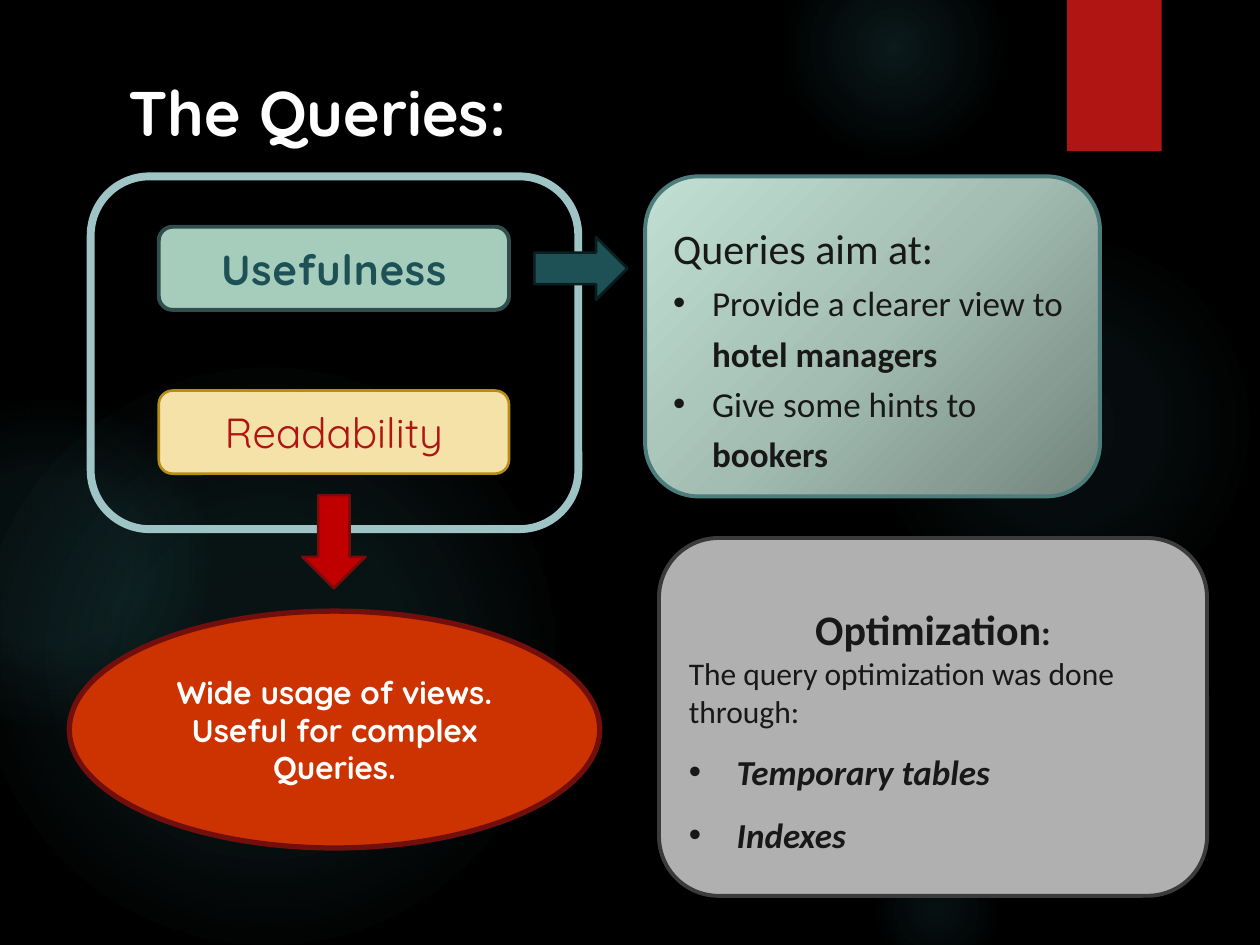
from lxml.etree import SubElement
from pptx import Presentation
from pptx.dml.color import RGBColor
from pptx.enum.shapes import MSO_SHAPE
from pptx.enum.text import MSO_ANCHOR, MSO_AUTO_SIZE, PP_ALIGN
from pptx.oxml.ns import qn
from pptx.util import Inches, Pt

THEME = {
    "black": "000000", "white": "FFFFFF", "ink": "181818", "glow": "50B9C1",
    "ribbon": "B01513", "frame": "9FC4C5", "teal": "1E5155", "teal edge": "0B1E1F",
    "mint": "A6CDBC", "mint edge": "304E4E", "cream": "F5E2A9", "gold": "B68E15",
    "orange": "CC3300", "red": "C00000", "red edge": "720E0C", "aims edge": "4C7D7C",
    "gray": "B0B0B0", "gray edge": "3B3B3B",
    "aims dark": "73857D", "aims mid": "A3BDB2", "aims light": "C1E0D3",
    "display": "Quicksand", "body": "Calibri",
    "title": 36, "head": 24, "item": 20, "text": 18,
}


def rgb(name):
    return RGBColor.from_string(THEME[name])


def add_panel(kind, box, fill=None, edge=None, width=0, stops=None, angle=None,
              font="body", color="ink", paragraphs=()):
    """Add a shape; stops are (position, color, opacity), runs (text, size, format)."""
    panel = slide.shapes.add_shape(kind, *map(Inches, box))
    panel.shadow.inherit = False
    if fill:
        panel.fill.solid()
        panel.fill.fore_color.rgb = rgb(fill)
    else:
        panel.fill.background()
    if stops:
        blank = panel._element.spPr.find(qn("a:noFill"))
        gradient = blank.makeelement(qn("a:gradFill"), {"rotWithShape": "1"})
        blank.getparent().replace(blank, gradient)
        stop_list = SubElement(gradient, qn("a:gsLst"))
        for position, name, opacity in stops:
            stop = SubElement(stop_list, qn("a:gs"), pos=str(position * 1000))
            tint = SubElement(stop, qn("a:srgbClr"), val=THEME[name])
            if opacity < 100:
                SubElement(tint, qn("a:alpha"), val=str(opacity * 1000))
        if angle is None:
            circle = SubElement(gradient, qn("a:path"), {"path": "circle"})
            SubElement(circle, qn("a:fillToRect"), dict.fromkeys("ltrb", "50000"))
        else:
            SubElement(gradient, qn("a:lin"), ang=str(angle * 60000), scaled="0")
    if edge:
        panel.line.color.rgb = rgb(edge)
        panel.line.width = Pt(width)
    else:
        panel.line.fill.background()

    frame = panel.text_frame
    frame.word_wrap = True
    frame.vertical_anchor = MSO_ANCHOR.MIDDLE
    for index, (align, spacing, indent, runs) in enumerate(paragraphs):
        paragraph = frame.paragraphs[0] if index == 0 else frame.add_paragraph()
        paragraph.alignment = align
        paragraph.line_spacing = spacing
        if indent:
            properties = paragraph._p.get_or_add_pPr()
            properties.set("marL", str(Inches(indent)))
            properties.set("indent", str(-Inches(indent)))
            SubElement(properties, qn("a:buFont"), typeface="Arial")
            SubElement(properties, qn("a:buChar"), char="•")
        for text, size, formats in runs:
            run = paragraph.add_run()
            run.text = text
            run.font.name = THEME[font]
            run.font.size = Pt(THEME[size])
            run.font.color.rgb = rgb(color)
            for key, value in formats.items():
                setattr(run.font, key, value)
    return panel


prs = Presentation()
prs.slide_width, prs.slide_height = Inches(10), Inches(7.5)
slide = prs.slides.add_slide(prs.slide_layouts[5])
slide.background.fill.solid()
slide.background.fill.fore_color.rgb = rgb("black")

LEFT, CENTER = PP_ALIGN.LEFT, PP_ALIGN.CENTER
ROUNDED, OVAL = MSO_SHAPE.ROUNDED_RECTANGLE, MSO_SHAPE.OVAL
BOLD = {"bold": True}

# Background glows: left, top, diameter, inner and middle opacity, fade-out position
for left, top, size, inner, middle, fade in [
    (6.89, 1.83, 3.08, 7, 6, 69),
    (6.22, -0.5, 1.75, 14, 7, 73),
    (6.89, 6.67, 1.08, 9, 5, 66),
    (-0.17, 2.92, 4.58, 11, 10, 75),
    (-0.92, 3.17, 2.58, 8, 8, 72),
]:
    add_panel(OVAL, (left, top, size, size),
              stops=[(0, "glow", inner), (36, "glow", middle), (fade, "glow", 0)])
add_panel(MSO_SHAPE.RECTANGLE, (8.47, 0, 0.75, 1.2), "ribbon")

# Title
title = slide.shapes.title
title.left, title.top, title.width, title.height = map(Inches, (0.92, 0.53, 3.2, 0.71))
title.text = "The Queries:"
title.text_frame.word_wrap = False
title.text_frame.auto_size = MSO_AUTO_SIZE.NONE
title.text_frame.vertical_anchor = MSO_ANCHOR.MIDDLE
heading = title.text_frame.paragraphs[0]
heading.alignment = LEFT
heading.font.name = THEME["display"]
heading.font.size = Pt(THEME["title"])
heading.font.bold = True
heading.font.color.rgb = rgb("white")

# Framed qualities
add_panel(ROUNDED, (0.72, 1.4, 3.87, 2.8), edge="frame", width=4.5)
for quality, top, fill, edge, width, color, formats in [
    ("Readability", 3.1, "cream", "gold", 1.5, "ribbon", {}),
    ("Usefulness", 1.8, "mint", "mint edge", 2.25, "teal", BOLD),
]:
    label = add_panel(ROUNDED, (1.26, top, 2.78, 0.66), fill, edge, width,
                      font="display", color=color,
                      paragraphs=[(CENTER, None, 0, [(quality, "head", formats)])])
    if formats:
        label.text_frame.paragraphs[0].runs[0].font._element.set("spc", "50")

# Views
add_panel(OVAL, (0.55, 4.85, 4.21, 1.88), "orange", "red edge", 3,
          font="display", color="white",
          paragraphs=[(CENTER, None, 0, [(line, "text", BOLD)])
                      for line in ("Wide usage of views.", "Useful for complex Queries.")])

# Aims
aims = [("Provide a clearer view to ", "hotel managers"), ("Give some hints to ", "bookers")]
add_panel(ROUNDED, (5.12, 1.4, 3.61, 2.54), edge="aims edge", width=2.25, angle=225,
          stops=[(0, "aims dark", 100), (50, "aims mid", 100), (100, "aims light", 100)],
          paragraphs=[(LEFT, 1.5, 0, [("Queries aim at:", "head", {})])]
          + [(LEFT, 1.2, 0.31, [(aim, "item", {}), (audience, "item", BOLD)])
             for aim, audience in aims])

# Optimization
add_panel(ROUNDED, (5.23, 4.27, 4.35, 2.84), "gray", "gray edge", 2.25,
          paragraphs=[
              (CENTER, 1.5, 0, [("Optimization", "head", BOLD), (":", "item", BOLD)]),
              (LEFT, None, 0, [("The query optimization was done through:", "text", {})]),
          ] + [(LEFT, 1.5, 0.38, [(method, "item", {"bold": True, "italic": True})])
               for method in ("Temporary tables", "Indexes")])

# Arrows from each quality to its explanation
for left, top, rotation, fill, edge in [
    (2.4, 3.93, 0, "red", "red edge"),
    (4.36, 1.76, 270, "teal", "teal edge"),
]:
    arrow = add_panel(MSO_SHAPE.DOWN_ARROW, (left, top, 0.5, 0.74), fill, edge, 1.5)
    arrow.rotation = rotation

prs.save("out.pptx")
